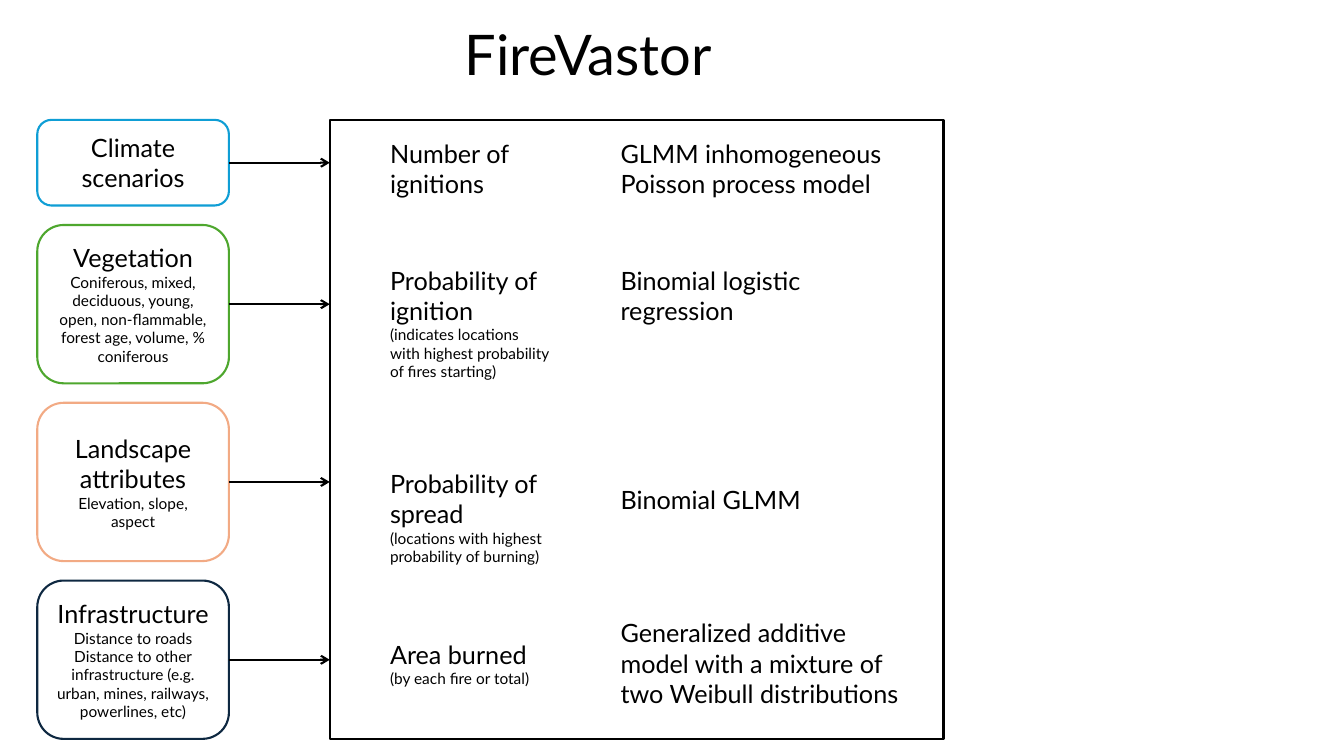
from lxml import etree
from pptx import Presentation
from pptx.dml.color import RGBColor
from pptx.enum import shapes, text
from pptx.oxml import ns
from pptx.util import Cm, Pt

FONT = "Lato"
COLOURS = {
    "black": "000000",
    "white": "FFFFFF",
    "climate": "0F9ED5",
    "vegetation": "4EA72E",
    "landscape": "F2AA84",
    "infrastructure": "0E2841",
}
HEADING_SIZE, DETAIL_SIZE, TITLE_SIZE = 18, 11, 40
LINE_WIDTH = Pt(1.5)

# Centimetres
INPUT_LEFT, INPUT_WIDTH, INPUT_GAP = 0.94, 4.83, 0.49
PANEL_LEFT, PANEL_TOP, PANEL_WIDTH = 8.31, 3.02, 15.47
OUTPUT_LEFT, METHOD_LEFT, METHOD_WIDTH = 9.58, 15.39, 7.87

# Colour name, height, heading, details
INPUTS = [
    ("climate", 2.16, "Climate scenarios", []),
    ("vegetation", 3.99, "Vegetation",
     ["Coniferous, mixed, deciduous, young, open, non-flammable, "
      "forest age, volume, % coniferous"]),
    ("landscape", 3.99, "Landscape attributes", ["Elevation, slope, aspect"]),
    ("infrastructure", 3.99, "Infrastructure",
     ["Distance to roads",
      "Distance to other infrastructure (e.g. urban, mines, railways, "
      "powerlines, etc)"]),
]

# Top, width, height, heading, details
OUTPUTS = [
    (3.35, 3.58, 1.8, "Number of ignitions", []),
    (6.55, 4.57, 3.2, "Probability of ignition",
     ["(indicates locations with highest probability of fires starting)"]),
    (11.68, 4.57, 2.74, "Probability of spread",
     ["(locations with highest probability of burning)"]),
    (15.98, 4.06, 1.5, "Area burned", ["(by each fire or total)"]),
]

# Top, height, name
METHODS = [
    (3.35, 1.8, "GLMM inhomogeneous Poisson process model"),
    (6.55, 1.8, "Binomial logistic regression"),
    (12.09, 1.02, "Binomial GLMM"),
    (15.44, 2.57,
     "Generalized additive model with a mixture of two Weibull distributions"),
]


def colour(name):
    return RGBColor.from_string(COLOURS[name])


def write_text(frame, heading, details, size=HEADING_SIZE, alignment=None):
    """Put a heading and smaller detail paragraphs into a text frame."""
    frame.word_wrap = True
    lines = [(heading, size)] + [(detail, DETAIL_SIZE) for detail in details]
    for index, (words, points) in enumerate(lines):
        paragraph = frame.add_paragraph() if index else frame.paragraphs[0]
        paragraph.alignment = alignment
        run = paragraph.add_run()
        run.text = words
        run.font.name = FONT
        run.font.size = Pt(points)
        run.font.color.rgb = colour("black")


def add_outlined_box(slide, kind, left, top, width, height, line, fill=None):
    box = slide.shapes.add_shape(kind, Cm(left), Cm(top), Cm(width), Cm(height))
    box.shadow.inherit = False
    if fill:
        box.fill.solid()
        box.fill.fore_color.rgb = colour(fill)
    else:
        box.fill.background()
    box.line.color.rgb = colour(line)
    box.line.width = LINE_WIDTH
    return box


def add_label(slide, left, top, width, height, heading, details=(),
              size=HEADING_SIZE):
    label = slide.shapes.add_textbox(Cm(left), Cm(top), Cm(width), Cm(height))
    label.text_frame.auto_size = text.MSO_AUTO_SIZE.SHAPE_TO_FIT_TEXT
    write_text(label.text_frame, heading, details, size)


def add_arrow_to_panel(slide, box):
    """Draw a level arrow from the box's right side to the panel."""
    middle = box.top + box.height // 2
    arrow = slide.shapes.add_connector(
        shapes.MSO_CONNECTOR.STRAIGHT,
        box.left + box.width, middle, Cm(PANEL_LEFT), middle)
    arrow.begin_connect(box, 3)
    arrow.line.color.rgb = colour("black")
    arrow.line.width = LINE_WIDTH
    etree.SubElement(arrow.line._get_or_add_ln(), ns.qn("a:tailEnd"), type="arrow")
    etree.SubElement(arrow._element.spPr, ns.qn("a:effectLst"))


def add_inputs(slide):
    top = PANEL_TOP
    for name, height, heading, details in INPUTS:
        box = add_outlined_box(
            slide, shapes.MSO_SHAPE.ROUNDED_RECTANGLE,
            INPUT_LEFT, top, INPUT_WIDTH, height, name, "white")
        box.text_frame.vertical_anchor = text.MSO_ANCHOR.MIDDLE
        write_text(box.text_frame, heading, details,
                   alignment=text.PP_ALIGN.CENTER)
        add_arrow_to_panel(slide, box)
        top += height + INPUT_GAP


def main():
    presentation = Presentation()
    presentation.slide_width = Cm(33.87)
    presentation.slide_height = Cm(19.05)
    slide = presentation.slides.add_slide(presentation.slide_layouts[6])

    panel_height = (sum(height for _, height, _, _ in INPUTS)
                    + INPUT_GAP * (len(INPUTS) - 1))
    add_outlined_box(slide, shapes.MSO_SHAPE.RECTANGLE, PANEL_LEFT, PANEL_TOP,
                     PANEL_WIDTH, panel_height, "black")
    add_inputs(slide)
    for top, width, height, heading, details in OUTPUTS:
        add_label(slide, OUTPUT_LEFT, top, width, height, heading, details)
    for top, height, name in METHODS:
        add_label(slide, METHOD_LEFT, top, METHOD_WIDTH, height, name)
    add_label(slide, 11.46, 0.36, 12.62, 1.96, "FireVastor", size=TITLE_SIZE)

    presentation.save("out.pptx")


if __name__ == "__main__":
    main()
